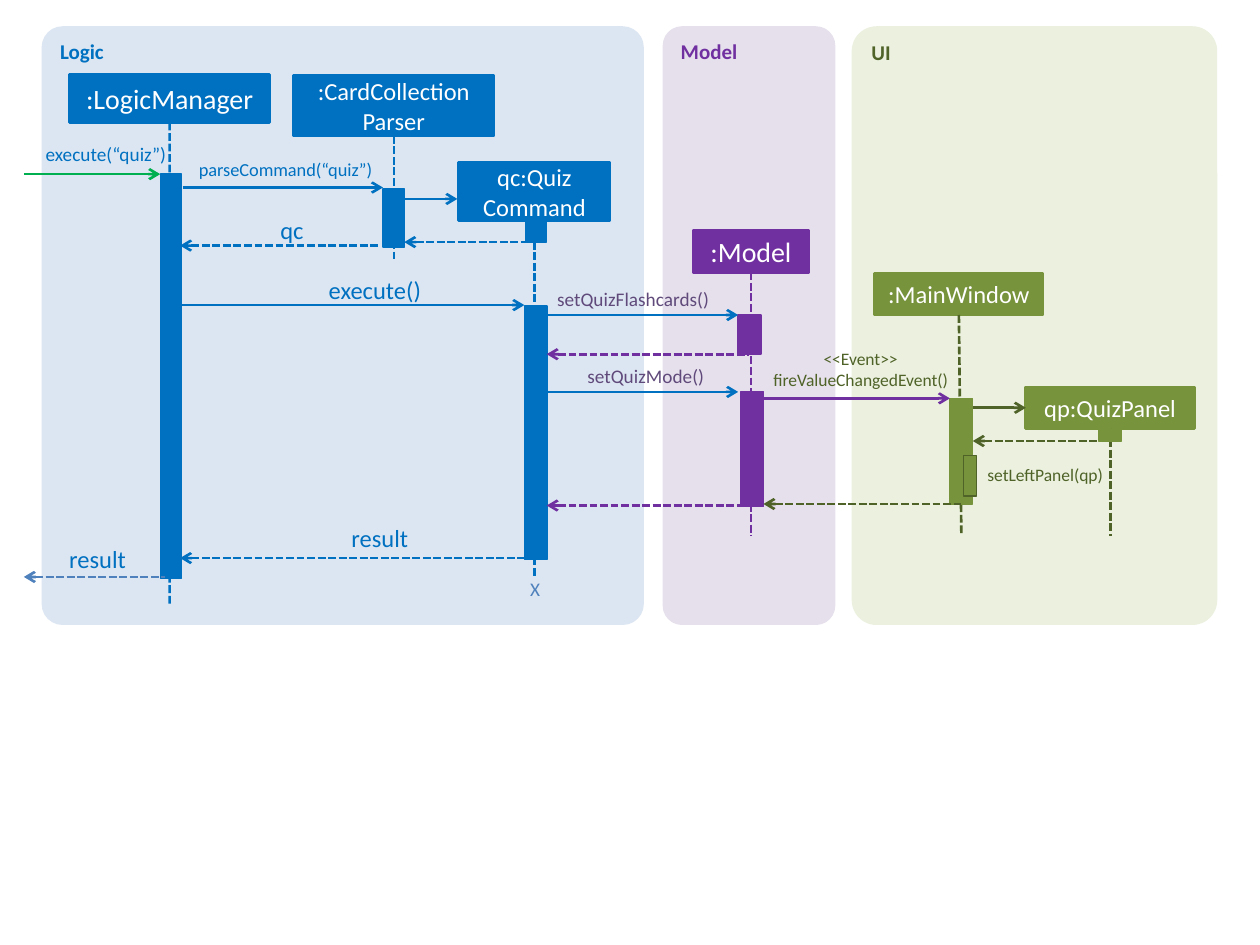
from lxml import etree
from pptx import Presentation
from pptx import util as u
from pptx.dml.color import RGBColor
from pptx.enum import dml, shapes, text
from pptx.oxml.ns import qn

BLUE, PURPLE, GREEN, OLIVE = "0070C0", "7030A0", "77933C", "4F6228"
SLATE, VIOLET, LIME, WHITE = "4F81BD", "604A7B", "00B050", "FFFFFF"
LEFT, CENTER, RIGHT = text.PP_ALIGN.LEFT, text.PP_ALIGN.CENTER, text.PP_ALIGN.RIGHT


def rgb(value):
    return RGBColor.from_string(value)


def write(frame, paragraphs, size, colour, align, bold=False):
    for index, words in enumerate(paragraphs):
        para = frame.paragraphs[0] if index == 0 else frame.add_paragraph()
        para.alignment = align
        for number, line in enumerate(words.split("\n")):
            if number:
                para.add_line_break()
            span = para.add_run()
            span.text = line
            span.font.name = "Calibri"
            span.font.size = u.Pt(size)
            span.font.bold = bold
            span.font.color.rgb = rgb(colour)


def add_box(page, kind, place, fill, line=None, width=0.75):
    box = page.shapes.add_shape(kind, *map(u.Cm, place))
    box.shadow.inherit = False
    box.fill.solid()
    box.fill.fore_color.rgb = rgb(fill)
    if line:
        box.line.color.rgb = rgb(line)
        box.line.width = u.Pt(width)
    else:
        box.line.fill.background()
    return box


def add_panel(page, title, left, width, corner, fill, colour):
    box = add_box(page, shapes.MSO_SHAPE.ROUNDED_RECTANGLE, (left, 0.53, width, 12.07), fill)
    box.adjustments[0] = corner
    box.text_frame.vertical_anchor = text.MSO_ANCHOR.TOP
    write(box.text_frame, [title], 12, colour, LEFT, bold=True)


def add_bar(page, place, fill, line=None):
    add_box(page, shapes.MSO_SHAPE.RECTANGLE, place, fill, line or fill)


def add_line(page, start, end, colour, dashed):
    line = page.shapes.add_connector(
        shapes.MSO_CONNECTOR.STRAIGHT, *map(u.Cm, (*start, *end)))
    line.line.color.rgb = rgb(colour)
    line.line.width = u.Pt(1.5)
    if dashed:
        line.line.dash_style = dml.MSO_LINE.SQUARE_DOT
    etree.SubElement(line._element.spPr, qn("a:effectLst"))
    return line


def add_participant(page, paragraphs, size, place, fill, foot, line_colour, drift=0):
    head = add_box(page, shapes.MSO_SHAPE.RECTANGLE, place, fill, fill, 1.5)
    head.text_frame.vertical_anchor = text.MSO_ANCHOR.MIDDLE
    write(head.text_frame, paragraphs, size, WHITE, CENTER)
    left, top, width, height = place
    middle = left + width / 2
    lifeline = add_line(page, (middle, top + height), (middle + drift, foot), line_colour, True)
    lifeline.begin_connect(head, 2)
    return head


def add_message(page, left, right, y, colour, reply=False):
    line = add_line(page, (left, y), (right, y), colour, reply)
    end = "a:headEnd" if reply else "a:tailEnd"
    etree.SubElement(line.line._get_or_add_ln(), qn(end), type="arrow")
    return line


def add_label(page, paragraphs, place, size, colour, align=LEFT, wrap=True):
    box = page.shapes.add_textbox(*map(u.Cm, place))
    frame = box.text_frame
    frame.word_wrap = wrap
    frame.auto_size = text.MSO_AUTO_SIZE.SHAPE_TO_FIT_TEXT
    if wrap:
        frame.margin_left = frame.margin_right = 0
        frame.margin_top = frame.margin_bottom = 0
    write(frame, paragraphs, size, colour, align)


def main():
    deck = Presentation()
    deck.slide_width, deck.slide_height = u.Cm(25.4), u.Cm(19.05)
    page = deck.slides.add_slide(deck.slide_layouts[6])

    for panel in (
        ("Logic", 0.84, 12.14, 0.035, "DCE6F2", BLUE),
        ("Model", 13.36, 3.48, 0.112, "E6E0EC", PURPLE),
        ("UI", 17.17, 7.37, 0.068, "EBF1DE", OLIVE),
    ):
        add_panel(page, *panel)

    for participant in (
        ([":LogicManager"], 16, (1.4, 1.5, 4.04, 0.97), BLUE, 12.19, BLUE),
        ([":CardCollection", "Parser"], 14, (5.92, 1.52, 4.04, 1.22), BLUE, 5.28, BLUE),
        (["qc:Quiz\nCommand"], 14, (9.25, 3.28, 3.05, 1.17), BLUE, 11.63, BLUE),
        ([":Model"], 16, (13.97, 4.65, 2.34, 0.84), PURPLE, 10.8, PURPLE),
        ([":MainWindow"], 14, (17.63, 5.51, 3.4, 0.84), GREEN, 10.8, OLIVE, 0.05),
    ):
        add_participant(page, *participant)
    quiz_panel = add_participant(
        page, ["qp:QuizPanel"], 14, (20.68, 7.8, 3.4, 0.84), GREEN, 10.8, OLIVE)

    for bar in (
        ((3.23, 3.51, 0.43, 8.15), BLUE),
        ((7.72, 3.81, 0.43, 1.17), BLUE),
        ((10.59, 4.42, 0.43, 0.46), BLUE),
        ((10.57, 6.17, 0.46, 5.11), BLUE),
        ((14.88, 6.35, 0.46, 0.79), PURPLE),
        ((14.94, 7.9, 0.46, 2.31), PURPLE),
        ((19.15, 8.03, 0.46, 2.13), GREEN),
        ((22.15, 8.66, 0.46, 0.23), GREEN),
        ((19.43, 9.19, 0.25, 0.81), GREEN, OLIVE),
    ):
        add_bar(page, *bar)

    for message in (
        (0.48, 3.23, 3.51, LIME),
        (3.68, 7.72, 3.78, BLUE),
        (8.15, 9.22, 4.01, BLUE),
        (8.15, 10.69, 4.88, BLUE, True),
        (3.63, 7.62, 4.95, BLUE, True),
        (3.63, 10.57, 6.15, BLUE),
        (11.05, 14.88, 6.35, BLUE),
        (11.02, 15.09, 7.14, PURPLE, True),
        (11.05, 14.88, 7.9, BLUE),
        (15.39, 19.15, 8.03, PURPLE),
        (19.61, 22.15, 8.89, OLIVE, True),
        (15.39, 19.38, 10.16, OLIVE, True),
        (11.02, 15.09, 10.19, PURPLE, True),
        (3.63, 10.8, 11.25, BLUE, True),
        (0.48, 3.33, 11.63, SLATE, True),
    ):
        add_message(page, *message)
    add_message(page, 19.61, 20.68, 8.22, OLIVE).end_connect(quiz_panel, 1)

    for label in (
        (["execute(“quiz”)"], (0.43, 2.87, 2.92, 0.48), 11, BLUE, RIGHT),
        (["parseCommand(“quiz”)"], (4.01, 3.18, 4.34, 0.46), 10.5, BLUE),
        (["qc"], (5.51, 4.34, 0.61, 0.61), 14, BLUE, RIGHT),
        (["execute()"], (6.1, 5.54, 2.39, 0.61), 14, BLUE, RIGHT),
        (["setQuizFlashcards()"], (11.23, 5.79, 3.94, 0.48), 11, VIOLET),
        (["setQuizMode()"], (11.84, 7.34, 3.61, 0.48), 11, VIOLET),
        (["<<Event>>", "fireValueChangedEvent()"], (15.24, 7.01, 4.22, 0.86), 10, OLIVE, CENTER),
        (["setLeftPanel(qp)"], (19.71, 9.35, 2.72, 0.43), 10, OLIVE, CENTER),
        (["result"], (6.5, 10.54, 1.73, 0.61), 14, BLUE, RIGHT),
        (["result"], (0.43, 10.97, 2.11, 0.61), 14, BLUE, RIGHT),
        (["X"], (10.44, 11.51, 0.71, 0.74), 11, SLATE, LEFT, False),
    ):
        add_label(page, *label)

    deck.save("out.pptx")


if __name__ == "__main__":
    main()
